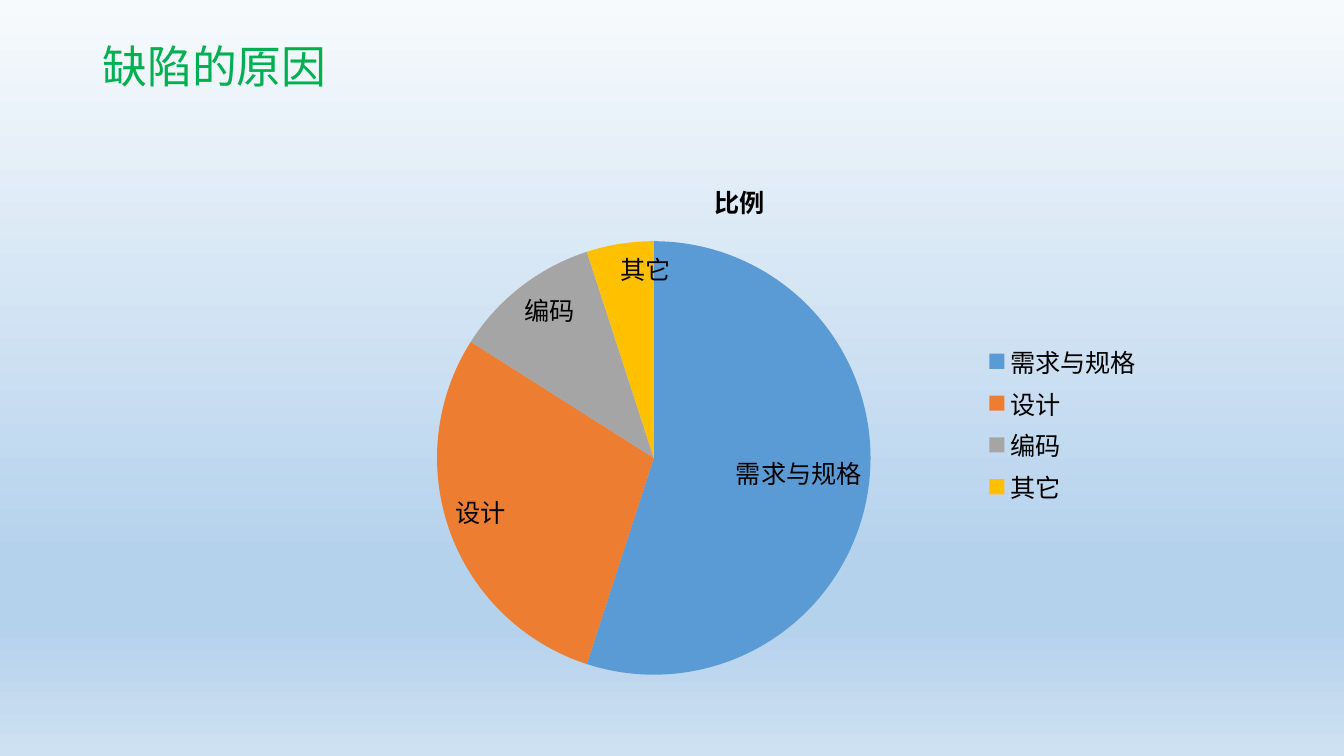
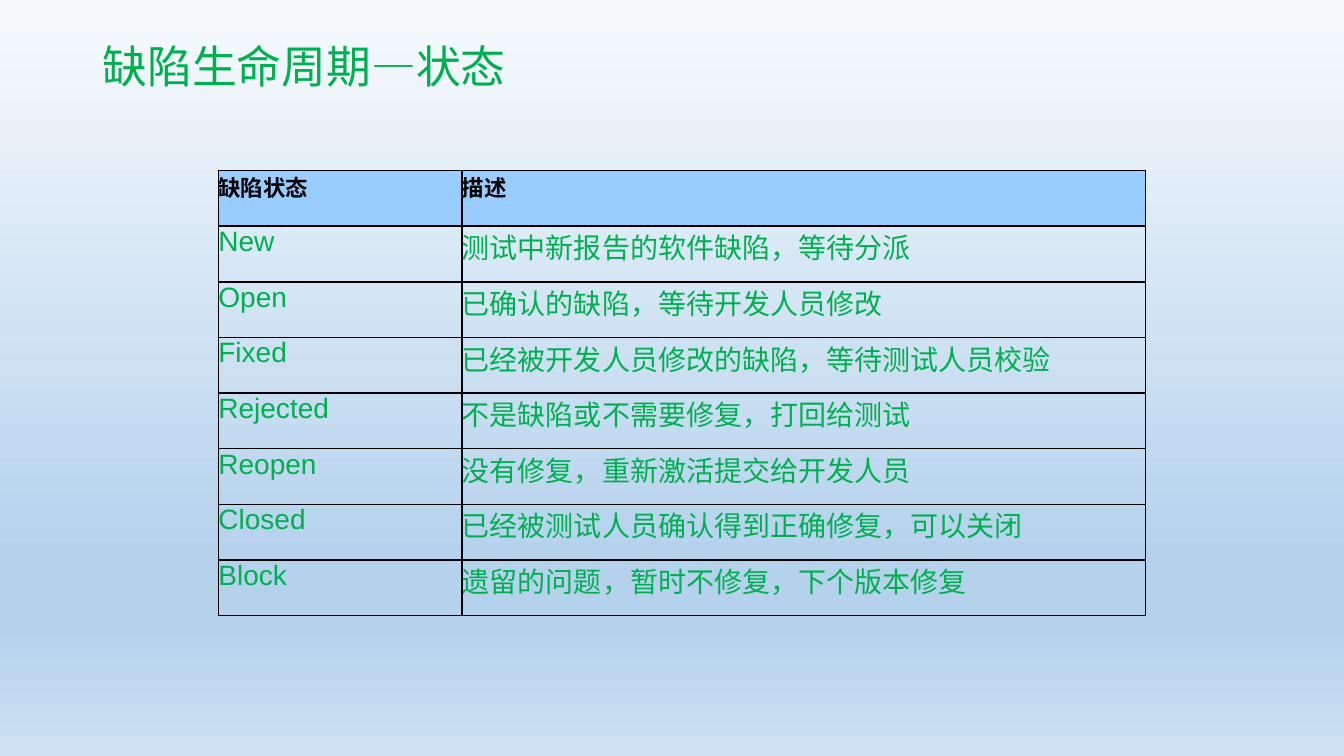
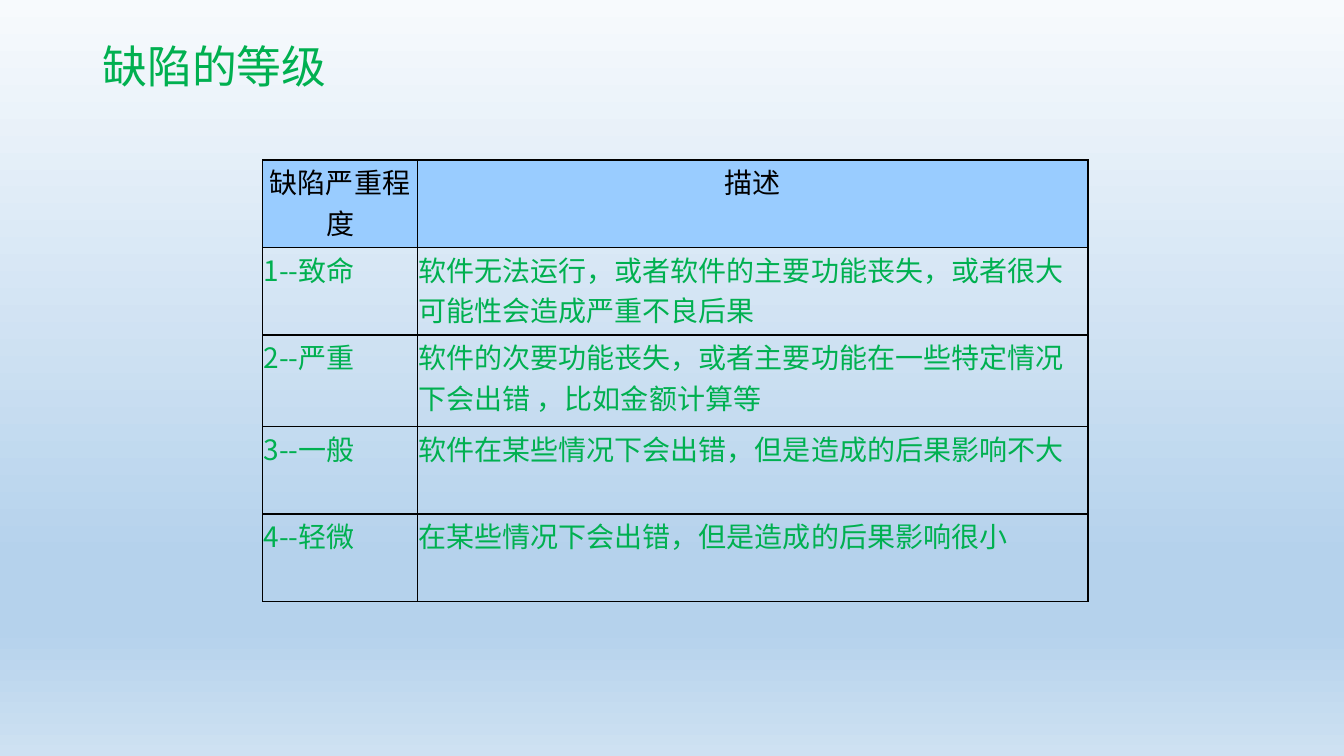
from dataclasses import dataclass

from lxml import etree
from pptx import Presentation
from pptx.chart.data import CategoryChartData
from pptx.dml.color import RGBColor
from pptx.enum import chart as ch, text as tx
from pptx.oxml import ns
from pptx.util import Pt

# Shared look
GREEN = RGBColor(0x00, 0xB0, 0x50)
BLACK = RGBColor(0x00, 0x00, 0x00)
HEADER_BLUE = RGBColor(0x99, 0xCC, 0xFF)
SKY_TOP = RGBColor(0xF7, 0xFA, 0xFD)
SKY_MID = RGBColor(0xB5, 0xD2, 0xEC)
SKY_END = RGBColor(0xCE, 0xE1, 0xF2)
SKY_STOPS = ((0, SKY_TOP), (74, SKY_MID), (83, SKY_MID), (100, SKY_END))
PIE_COLORS = (RGBColor(0x5B, 0x9B, 0xD5), RGBColor(0xED, 0x7D, 0x31),
              RGBColor(0xA5, 0xA5, 0xA5), RGBColor(0xFF, 0xC0, 0x00))
NOTO, ARIAL, CALIBRI = "Noto Sans CJK SC", "Arial", "Calibri"


@dataclass
class TableSpec:
    left: float
    top: float
    widths: tuple[float, ...]
    heights: tuple[float, ...]
    rows: tuple[tuple[str, str], ...]
    fonts: tuple[str, str]
    header_font: str
    header_size: float
    header_bold: bool
    header_align: tx.PP_ALIGN
    inset: float
    border: float


STATES = TableSpec(
    left=156, top=121.8, widths=(173.9, 488.2), heights=(39.75,) * 8,
    rows=(
        ("缺陷状态", "描述"),
        ("New", "测试中新报告的软件缺陷，等待分派"),
        ("Open", "已确认的缺陷，等待开发人员修改"),
        ("Fixed", "已经被开发人员修改的缺陷，等待测试人员校验"),
        ("Rejected", "不是缺陷或不需要修复，打回给测试"),
        ("Reopen", "没有修复，重新激活提交给开发人员"),
        ("Closed", "已经被测试人员确认得到正确修复，可以关闭"),
        ("Block", "遗留的问题，暂时不修复，下个版本修复"),
    ),
    fonts=(ARIAL, NOTO), header_font=ARIAL, header_size=16, header_bold=True,
    header_align=tx.PP_ALIGN.LEFT, inset=0, border=1.2)

LEVELS = TableSpec(
    left=187.6, top=114.3, widths=(110.6, 479),
    heights=(62.5, 62.5, 65.5, 62.5, 62.5),
    rows=(
        ("缺陷严重程度", "描述"),
        ("1--致命", "软件无法运行，或者软件的主要功能丧失，或者很大可能性会造成严重不良后果"),
        ("2--严重", "软件的次要功能丧失，或者主要功能在一些特定情况下会出错 ，比如金额计算等"),
        ("3--一般", "软件在某些情况下会出错，但是造成的后果影响不大"),
        ("4--轻微", "在某些情况下会出错，但是造成的后果影响很小"),
    ),
    fonts=(NOTO, NOTO), header_font=NOTO, header_size=20, header_bold=False,
    header_align=tx.PP_ALIGN.CENTER, inset=0.7, border=1)


def set_font(font, name: str, size: float, color: RGBColor, bold: bool = False) -> None:
    font.name, font.size, font.bold = name, Pt(size), bold
    font.color.rgb = color


def format_run(r, name: str, size: float, color: RGBColor, bold: bool = False) -> None:
    set_font(r.font, name, size, color, bold)
    latin = r.font._element.find(ns.qn("a:latin"))
    ea = etree.Element(ns.qn("a:ea"), typeface=NOTO)
    latin.addnext(ea)


def set_background(master) -> None:
    fill = master.background.fill
    fill.gradient()
    fill.gradient_angle = 270
    stops = master.element.find(".//" + ns.qn("a:gsLst"))
    for old in list(stops):
        stops.remove(old)
    for position, color in SKY_STOPS:
        gs = etree.SubElement(stops, ns.qn("a:gs"), pos=str(position * 1000))
        etree.SubElement(gs, ns.qn("a:srgbClr"), val=str(color))


def add_titled_slide(prs, title: str):
    s = prs.slides.add_slide(prs.slide_layouts[5])
    sp = s.shapes.title
    sp.left, sp.top, sp.width, sp.height = Pt(66), Pt(28.1), Pt(828), Pt(104.4)
    tf = sp.text_frame
    tf.text = title
    tf.word_wrap = True
    tf.auto_size = tx.MSO_AUTO_SIZE.NONE
    tf.vertical_anchor = tx.MSO_ANCHOR.TOP
    p = tf.paragraphs[0]
    p.alignment = tx.PP_ALIGN.LEFT
    p.line_spacing = 0.9
    format_run(p.runs[0], NOTO, 32, GREEN)
    return s


def set_borders(cell, width: float) -> None:
    tcPr = cell._tc.get_or_add_tcPr()
    for i, side in enumerate(("lnL", "lnR", "lnT", "lnB")):
        ln = etree.Element(ns.qn("a:" + side), w=str(Pt(width)))
        solid = etree.SubElement(ln, ns.qn("a:solidFill"))
        etree.SubElement(solid, ns.qn("a:srgbClr"), val=str(BLACK))
        tcPr.insert(i, ln)


def add_grid(s, spec: TableSpec) -> None:
    table = s.shapes.add_table(
        len(spec.rows), len(spec.widths), Pt(spec.left), Pt(spec.top),
        Pt(sum(spec.widths)), Pt(sum(spec.heights))).table
    table.first_row = table.horz_banding = False
    for column, width in zip(table.columns, spec.widths):
        column.width = Pt(width)
    for i, (row, height) in enumerate(zip(table.rows, spec.heights)):
        row.height = Pt(height)
        for cell, label, font in zip(row.cells, spec.rows[i], spec.fonts):
            cell.margin_left = cell.margin_right = cell.margin_top = Pt(spec.inset)
            cell.margin_bottom = Pt(0)
            cell.text_frame.text = label
            p = cell.text_frame.paragraphs[0]
            if i == 0:
                cell.fill.solid()
                cell.fill.fore_color.rgb = HEADER_BLUE
                p.alignment = spec.header_align
                format_run(p.runs[0], spec.header_font, spec.header_size, BLACK,
                           spec.header_bold)
            else:
                cell.fill.background()
                format_run(p.runs[0], font, 20, GREEN)
            set_borders(cell, spec.border)


def add_cause_pie(s) -> None:
    data = CategoryChartData()
    data.categories = ("需求与规格", "设计", "编码", "其它")
    data.add_series("比例", (55, 29, 11, 5))
    chart = s.shapes.add_chart(ch.XL_CHART_TYPE.PIE, Pt(233.2), Pt(113.9),
                               Pt(590.2), Pt(378), data).chart
    set_font(chart.font, CALIBRI, 18, BLACK)
    # Title and legend
    chart.has_title = True
    tf = chart.chart_title.text_frame
    tf.text = "比例"
    format_run(tf.paragraphs[0].runs[0], CALIBRI, 18, BLACK, True)
    chart.has_legend = True
    chart.legend.position = ch.XL_LEGEND_POSITION.RIGHT
    chart.legend.include_in_layout = False
    set_font(chart.legend.font, CALIBRI, 18, BLACK)
    # Slices and their labels
    plot = chart.plots[0]
    plot.vary_by_categories = True
    for i, color in enumerate(PIE_COLORS):
        fill = plot.series[0].points[i].format.fill
        fill.solid()
        fill.fore_color.rgb = color
    labels = plot.series[0].data_labels
    labels.show_category_name = True
    labels.show_value = False
    labels.show_percentage = False
    labels.position = ch.XL_LABEL_POSITION.INSIDE_END
    set_font(labels.font, CALIBRI, 18, BLACK)


def main() -> None:
    prs = Presentation()
    prs.slide_width, prs.slide_height = Pt(960), Pt(540)
    set_background(prs.slide_master)
    add_cause_pie(add_titled_slide(prs, "缺陷的原因"))
    add_grid(add_titled_slide(prs, "缺陷生命周期—状态"), STATES)
    add_grid(add_titled_slide(prs, "缺陷的等级"), LEVELS)
    prs.save("out.pptx")


if __name__ == "__main__":
    main()
